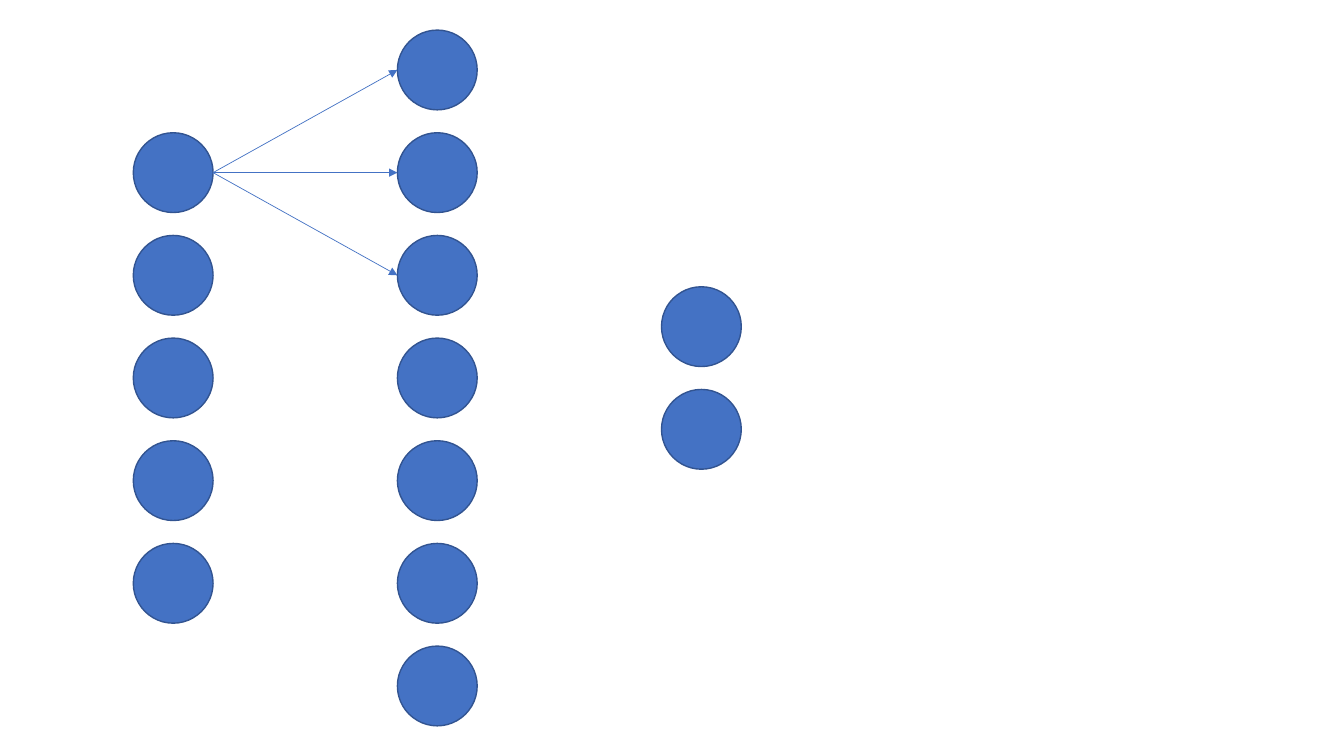
from pptx import Presentation
from pptx.dml.color import RGBColor
from pptx.enum.shapes import MSO_CONNECTOR as Link, MSO_SHAPE as Shape
from pptx.oxml.ns import qn
from pptx.util import Cm, Pt
from lxml.etree import SubElement as Sub

SIZE = 2.01
PITCH = 2.587
STEP = 6.655
BLUE = "4472C4"
EDGE = "325491"


def color(text):
    return RGBColor.from_string(text)


def stroke(item, tone, width):
    item.line.color.rgb = color(tone)
    item.line.width = Pt(width)


def layer(slide, box, count):
    left, top, wide, high = box
    group = slide.shapes.add_group_shape()
    first = top + (high - (count - 1) * PITCH - wide) / 2
    nodes = []
    for row in range(count):
        node = group.shapes.add_shape(
            Shape.OVAL, Cm(left), Cm(first + row * PITCH), Cm(wide), Cm(wide))
        node.shadow.inherit = False
        node.fill.solid()
        node.fill.fore_color.rgb = color(BLUE)
        stroke(node, EDGE, 1)
        nodes.append(node)
    return nodes


def arrow(slide, start, end):
    line = slide.shapes.add_connector(
        Link.STRAIGHT, start.left + start.width, start.top + start.height // 2,
        end.left, end.top + end.height // 2)
    stroke(line, BLUE, 0.5)
    props = line._element.spPr
    Sub(props.find(qn("a:ln")), qn("a:tailEnd"), type="triangle")
    Sub(props, qn("a:effectLst"))


def network(slide, box, counts):
    left, top, wide, high = box
    layers = [layer(slide, (left + col * STEP, top, SIZE, high), count)
              for col, count in enumerate(counts)]
    for node in layers[1][:3]:
        arrow(slide, layers[0][0], node)


def main():
    deck = Presentation()
    form = {"slide_width": Cm(33.867), "slide_height": Cm(19.05)}
    for name, value in form.items():
        setattr(deck, name, value)
    slide = deck.slides.add_slide(deck.slide_layouts[6])
    network(slide, (3.36, 0.76, 15.32, 17.53), (5, 7, 2))
    deck.save("out.pptx")


if __name__ == "__main__":
    main()
